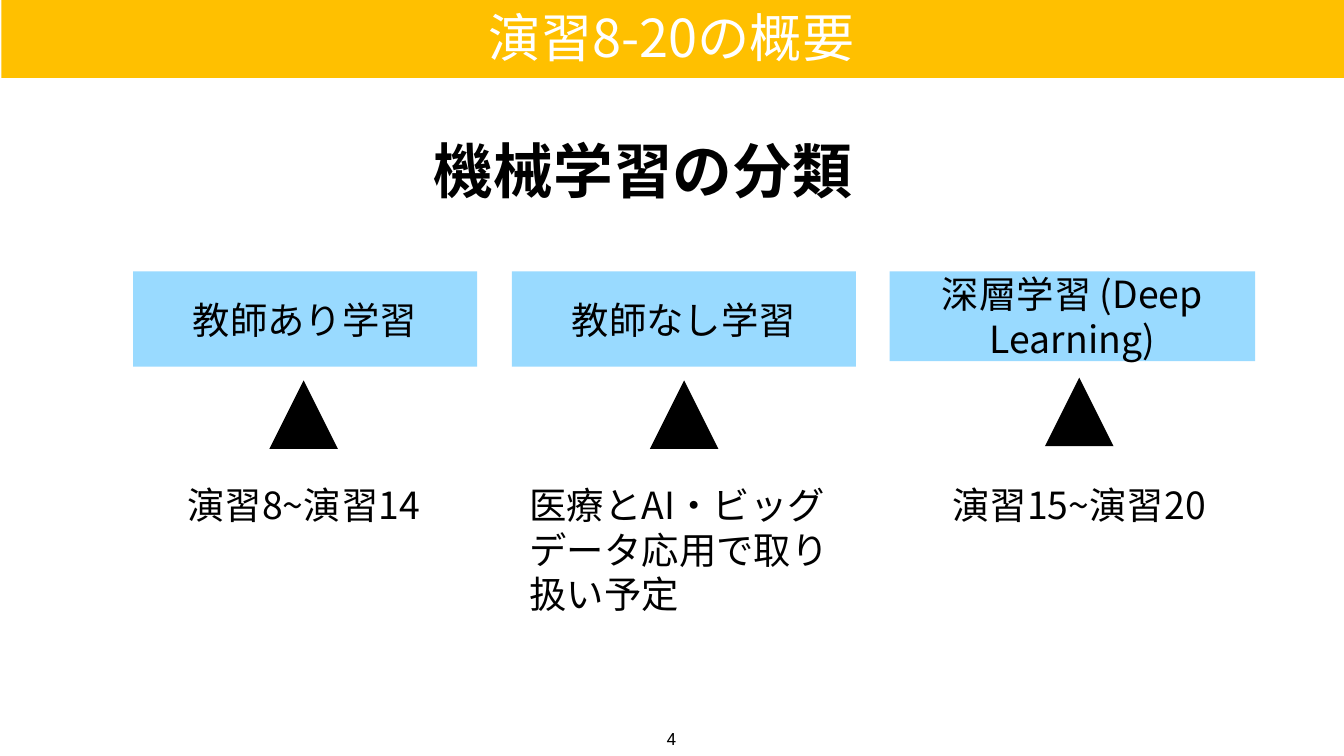
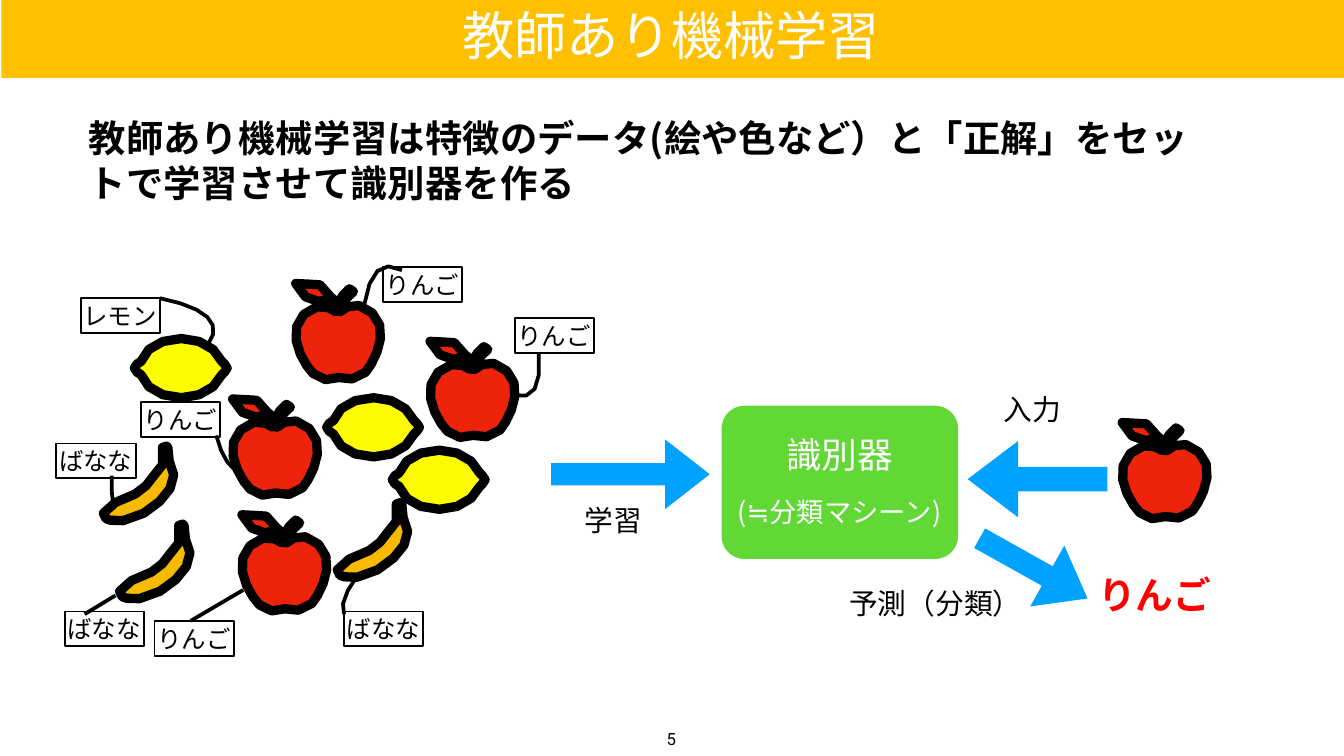
from math import ceil, dist
from lxml.etree import SubElement
from pptx import Presentation
from pptx.dml.color import RGBColor
from pptx.enum.shapes import MSO_CONNECTOR, MSO_SHAPE
from pptx.enum.text import MSO_ANCHOR, PP_ALIGN
from pptx.oxml.ns import qn
from pptx.util import Pt

FONT = "Noto Sans CJK JP"
NUMBER_FONT = "Roboto"
BLACK, WHITE, RED = "000000", "FFFFFF", "FF0000"
BAND, METHOD, ARROW, MACHINE = "FFC000", "99DAFF", "00A2FF", "61D836"
APPLE_RED, LEMON_YELLOW, BANANA_GOLD = "EE230C", "FFFB00", "F7BA01"
GRID = 0.72
CURVE_PIECE = 10
TAG_WIDTH, TAG_HEIGHT = 42.5, 18.7

APPLE = [
    (0, 0), (5, 14), (19, 15), (25, 12), (26, 12), (29, 14), (31, 17),
    (31, 18), (30, 20), (30, 21), (26, 18), (16, 13), (6, 23),
    (-8, 37), (6, 60), (13, 67), (18, 72), (26, 73), (32, 70),
    (38, 73), (46, 71), (52, 66), (58, 59), (71, 35), (57, 22),
    (47, 12), (37, 17), (33, 21), (34, 15), (37, 10), (43, 6),
    (44, 6), (42, 3), (40, 4), (36, 7), (33, 11), (32, 15),
    (30, 12), (27, 11), (26, 10), (25, 8), (23, 3), (18, 1),
    (10, -2), (9, 3), (0, 0),
]
LEMON = [
    (35, 0), (20, 0), (8, 7), (5, 17), (4, 18), (3, 18), (2, 19),
    (1, 19), (0, 20), (0, 22), (0, 23), (1, 24), (2, 25),
    (3, 25), (4, 26), (5, 27), (8, 37), (20, 44), (35, 44),
    (49, 44), (61, 37), (65, 27), (65, 26), (66, 25), (67, 25),
    (68, 24), (69, 23), (69, 22), (69, 20), (68, 19), (67, 19),
    (66, 18), (65, 18), (65, 17), (61, 7), (49, 0), (35, 0),
]
BANANA = [
    (47, 0), (46, 0), (44, 1), (44, 1), (45, 10), (45, 12), (44, 14),
    (32, 27), (35, 33), (9, 42), (4, 44), (1, 47), (0, 50),
    (1, 52), (2, 54), (2, 54), (2, 54), (12, 60), (30, 50),
    (48, 39), (58, 25), (49, 11), (49, 11), (48, 3), (48, 1),
    (48, 0), (47, 0), (47, 0),
]
FRUITS = [
    (APPLE, APPLE_RED, [(158.4, 151.9), (129.6, 275.8), (230.4, 182.9),
                        (124.6, 213.8), (601.2, 226.4)]),
    (LEMON, LEMON_YELLOW, [(210.2, 241.2), (175, 213.1), (72, 181.4)]),
    (BANANA, BANANA_GOLD, [(64.1, 280.8), (180.7, 269.3), (55.4, 239)]),
]
TAGS = [
    ("りんご", 205.2, 143.3),
    ("りんご", 275.8, 170.6),
    ("りんご", 75.6, 215.3),
    ("りんご", 82.8, 332.6),
    ("ばなな", 184.3, 327.6),
    ("ばなな", 34.6, 327.6),
    ("ばなな", 30.2, 237.6),
    ("レモン", 43.2, 159.8),
]
CURVED_LEADS = [
    [(195.1, 163.4), (198, 145.4), (204.5, 139), (215.3, 144.7)],
    [(288.7, 189.4), (290.2, 207.4), (285.8, 214.6), (275, 211.7)],
    [(125.3, 251.3), (121.7, 248.4), (118.1, 242.6), (115.9, 233.3)],
    [(184.3, 329), (182.2, 324), (185, 317.5), (191.5, 308.2)],
    [(60.5, 269.3), (59.8, 266.4), (59.8, 261.4), (59.8, 254.9)],
    [(111.6, 184.3), (119.5, 173.5), (110.9, 164.9), (85.7, 159.8)],
]
STRAIGHT_LEADS = [
    (130.3, 316.1, 102.2, 332.6),
    (45.4, 329, 61.9, 319),
]


def color(value):
    """Turn a hex string into a colour."""
    return RGBColor.from_string(value)


def style(shape, fill=None, line=None, width=1):
    """Set fill and line of a shape and drop its shadow."""
    shape.shadow.inherit = False
    if fill:
        shape.fill.solid()
        shape.fill.fore_color.rgb = color(fill)
    else:
        shape.fill.background()
    if line:
        shape.line.color.rgb = color(line)
        shape.line.width = Pt(width)
    else:
        shape.line.fill.background()


def write(shape, text, size, ink=BLACK, bold=False, align=PP_ALIGN.CENTER,
          inset=1.44, wrap=True, anchor=MSO_ANCHOR.MIDDLE, pitch=None, font=FONT):
    """Put one styled run of text into a shape."""
    frame = shape.text_frame
    frame.word_wrap = wrap
    frame.vertical_anchor = anchor
    frame.margin_left = frame.margin_right = Pt(inset)
    frame.margin_top = frame.margin_bottom = Pt(inset)
    para = frame.paragraphs[0]
    para.alignment = align
    if pitch:
        para.line_spacing = Pt(pitch)
    span = para.add_run()
    span.text = text
    span.font.size = Pt(size)
    span.font.bold = bold
    span.font.color.rgb = color(ink)
    span.font.name = font
    SubElement(span.font._element, qn("a:ea")).set("typeface", font)


def add_label(page, left, top, width, height, text, size, **look):
    """Add a text box."""
    box = page.shapes.add_textbox(Pt(left), Pt(top), Pt(width), Pt(height))
    write(box, text, size, **look)


def add_block(page, kind, left, top, width, height, **look):
    """Add a preset shape."""
    block = page.shapes.add_shape(kind, Pt(left), Pt(top), Pt(width), Pt(height))
    style(block, **look)
    return block


def add_block_arrow(page, left, top, width, height, head, rotation=0):
    """Add a thick blue arrow."""
    arrow = add_block(page, MSO_SHAPE.RIGHT_ARROW, left, top, width, height, fill=ARROW)
    arrow.adjustments[0] = 0.32
    arrow.adjustments[1] = head
    arrow.rotation = rotation


def add_line(page, x1, y1, x2, y2, width, arrowhead=False):
    """Add a straight black line, with an arrowhead at its end if asked."""
    line = page.shapes.add_connector(MSO_CONNECTOR.STRAIGHT, Pt(x1), Pt(y1), Pt(x2), Pt(y2))
    line.line.color.rgb = color(BLACK)
    line.line.width = Pt(width)
    if arrowhead:
        SubElement(line.line._get_or_add_ln(), qn("a:tailEnd")).set("type", "triangle")
    SubElement(line._element.spPr, qn("a:effectLst"))


def bend(corners):
    """List points along one cubic curve, after its start, more for a longer curve."""
    steps = ceil(sum(map(dist, corners, corners[1:])) / CURVE_PIECE) or 1
    points = []
    for step in range(1, steps + 1):
        t = step / steps
        weights = ((1 - t) ** 3, 3 * t * (1 - t) ** 2, 3 * t * t * (1 - t), t ** 3)
        points.append(tuple(sum(w * c[axis] for w, c in zip(weights, corners))
                            for axis in (0, 1)))
    return points


def add_curve(page, knots, fill=None, width=2):
    """Draw a chain of cubic curves, closed when it has a fill."""
    points = [knots[0]]
    for index in range(0, len(knots) - 1, 3):
        points += bend(knots[index:index + 4])
    places = [(Pt(x), Pt(y)) for x, y in points]
    builder = page.shapes.build_freeform(*places[0])
    builder.add_line_segments(places[1:], close=bool(fill))
    style(builder.convert_to_shape(), fill, BLACK, width)


def add_page(deck, title, number, title_top):
    """Add a blank page with title band and page number."""
    page = deck.slides.add_slide(deck.slide_layouts[6])
    add_block(page, MSO_SHAPE.RECTANGLE, 0.72, 0, 720, 41.8, fill=BAND)
    add_label(page, 0, title_top, 719.3, 36.7, title, 28, ink=WHITE)
    add_label(page, 350.6, 385.9, 18, 18.7, number, 9, inset=4.3, wrap=False,
              anchor=MSO_ANCHOR.TOP, font=NUMBER_FONT)
    return page


def add_method(page, left, width, height, name, arrow_x, arrow_top):
    """Add a learning method with the arrow that points at it."""
    block = add_block(page, MSO_SHAPE.RECTANGLE, left, 145.4, width, height, fill=METHOD)
    write(block, name, 20, inset=0, pitch=24)
    add_line(page, arrow_x, arrow_top + 29.5, arrow_x, arrow_top, 12.25, arrowhead=True)


def build_overview(deck):
    """Build the page that sorts the exercises by learning method."""
    page = add_page(deck, "演習8-20の概要", "4", 1.4)
    add_label(page, 227.5, 67.7, 234, 46.8, "機械学習の分類", 32, bold=True,
              inset=4.3, wrap=False)
    add_method(page, 71.3, 184.3, 51.1, "教師あり学習", 162.7, 203.8)
    add_method(page, 274.3, 184.3, 51.1, "教師なし学習", 366.5, 203.8)
    add_method(page, 476.6, 195.8, 48.2, "深層学習 (Deep Learning)", 578.2, 202.3)
    add_label(page, 64.8, 257.8, 195.8, 24.5, "演習8~演習14", 20, inset=0)
    add_label(page, 283.7, 257.8, 167, 72.7, "医療とAI・ビッグデータ応用で取り扱い予定",
              20, align=PP_ALIGN.LEFT, inset=0, pitch=24)
    add_label(page, 480.2, 257.8, 195.8, 24.5, "演習15~演習20", 20, inset=0)


def build_supervised(deck):
    """Build the page on supervised learning with fruit."""
    page = add_page(deck, "教師あり機械学習", "5", 0)
    add_label(page, 46.1, 59.8, 606.2, 51.8,
              "教師あり機械学習は特徴のデータ(絵や色など）と「正解」をセットで学習させて識別器を作る",
              20, bold=True, align=PP_ALIGN.LEFT, pitch=24)
    for outline, fill, places in FRUITS:
        for left, top in places:
            knots = [(left + x * GRID, top + y * GRID) for x, y in outline]
            add_curve(page, knots, fill, 5)
    for text, left, top in TAGS:
        tag = add_block(page, MSO_SHAPE.RECTANGLE, left, top, TAG_WIDTH, TAG_HEIGHT, line=BLACK)
        write(tag, text, 13.1, align=PP_ALIGN.LEFT, wrap=False)
    for knots in CURVED_LEADS:
        add_curve(page, knots)
    for ends in STRAIGHT_LEADS:
        add_line(page, *ends, 2)

    machine = add_block(page, MSO_SHAPE.ROUNDED_RECTANGLE, 386.6, 217.4, 126.7, 82.1, fill=MACHINE)
    machine.adjustments[0] = 0.15
    add_label(page, 362.2, 230.4, 175, 25.9, "識別器", 19.1, ink=WHITE)
    add_label(page, 362.2, 263.5, 175, 20.9, "(≒分類マシーン)", 14.6, ink=WHITE)

    add_block_arrow(page, 295.2, 235.4, 85, 37.4, 0.64)
    add_block_arrow(page, 518.4, 236.2, 74.9, 41, 0.66, 180)
    add_block_arrow(page, 520.6, 285.8, 66.2, 37.4, 0.66, 29.2)
    for text, left, top, width in (("学習", 311.8, 267.8, 33.8),
                                   ("予測（分類）", 453.6, 312.5, 96.5),
                                   ("入力", 536.4, 208.1, 33.8)):
        add_label(page, left, top, width, 21.6, text, 15.4, align=PP_ALIGN.LEFT, wrap=False)
    add_label(page, 586.8, 304.6, 65.5, 27.4, "りんご", 20.2, ink=RED, bold=True,
              align=PP_ALIGN.LEFT, wrap=False)


def main():
    """Build the deck and save it."""
    deck = Presentation()
    deck.slide_width, deck.slide_height = Pt(720), Pt(405)
    build_overview(deck)
    build_supervised(deck)
    deck.save("out.pptx")


if __name__ == "__main__":
    main()
